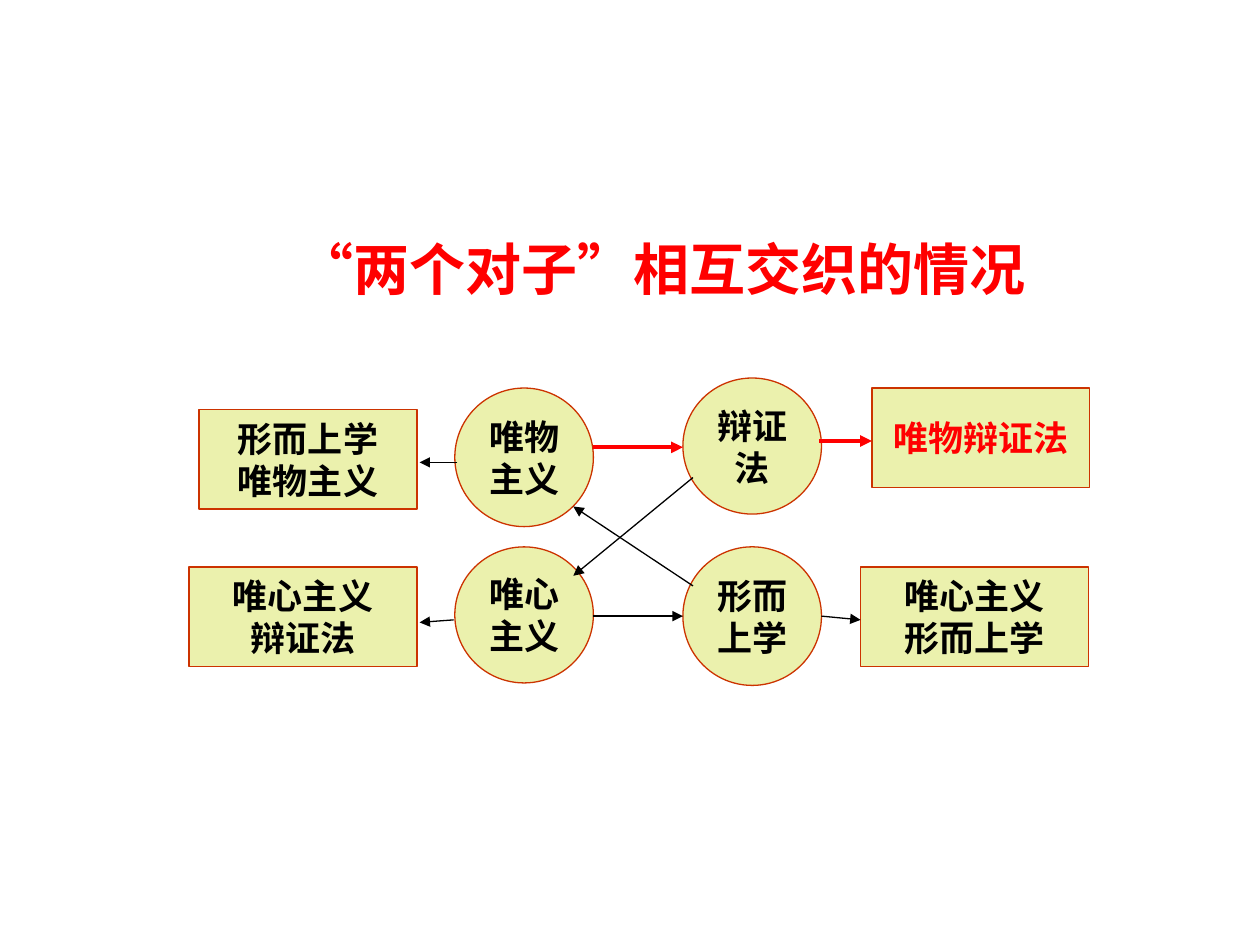
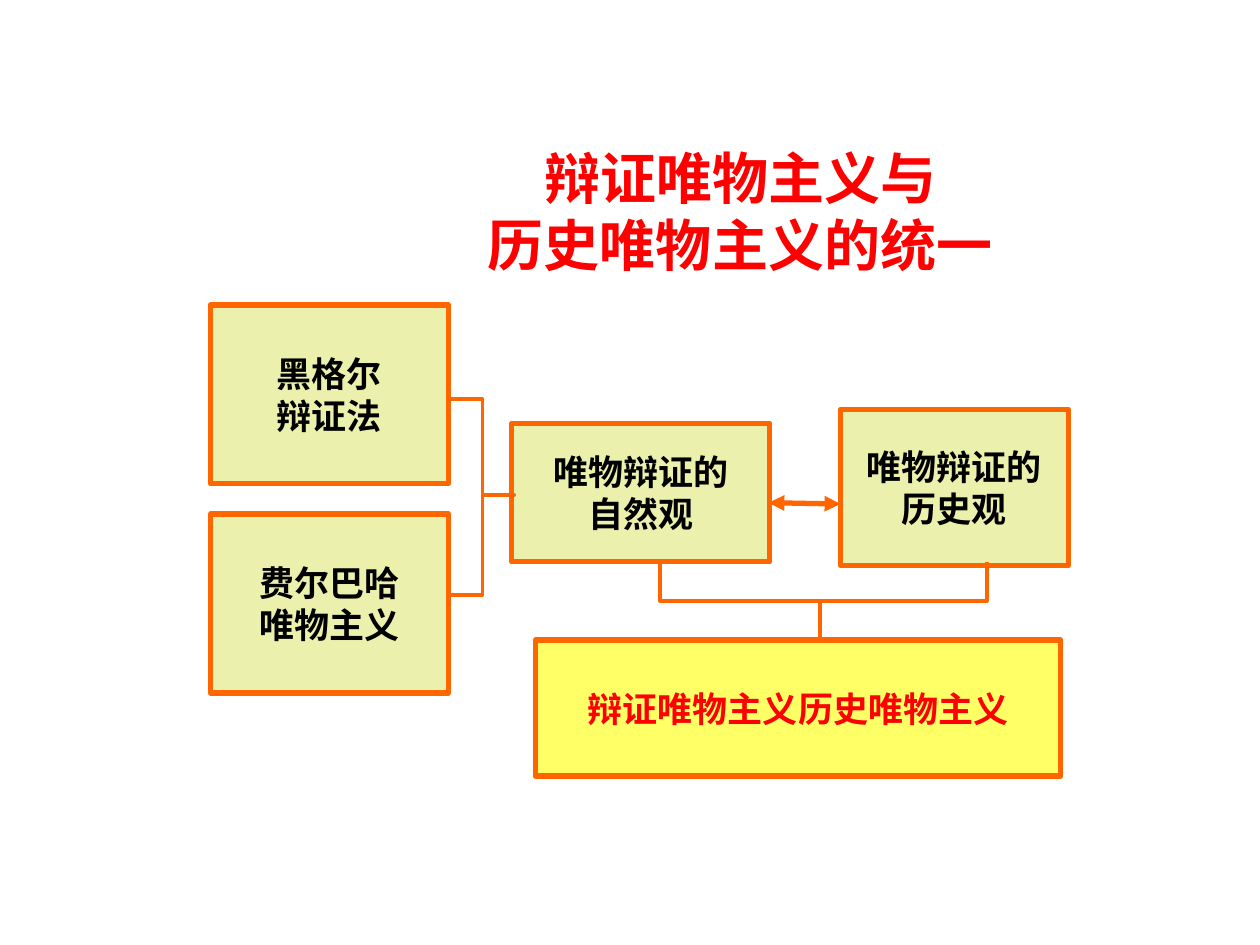
from dataclasses import dataclass

from lxml.etree import SubElement
from pptx import Presentation
from pptx.dml.color import RGBColor
from pptx.enum.lang import MSO_LANGUAGE_ID
from pptx.enum.shapes import MSO_CONNECTOR, MSO_SHAPE
from pptx.enum.text import MSO_ANCHOR, PP_ALIGN
from pptx.oxml.ns import qn
from pptx.util import Inches, Pt


@dataclass(frozen=True)
class Theme:
    """Colours, font and sizes shared by the slides."""

    font: str = "Arial"
    title_size: int = 32
    label_size: int = 20
    ink: str = "000000"
    accent: str = "FF0000"
    pale: str = "EBF1AD"
    yellow: str = "FFFF66"
    rust: str = "CC3300"
    orange: str = "FF6600"
    thin: float = 0.75
    medium: float = 2.25
    thick: float = 3


def write(frame, text, *, font, size, color, wrap):
    """Fill a text frame with centred bold lines, one paragraph each."""
    frame.word_wrap = wrap
    frame.vertical_anchor = MSO_ANCHOR.MIDDLE
    for index, line in enumerate(text.split("\n")):
        para = frame.add_paragraph() if index else frame.paragraphs[0]
        para.alignment = PP_ALIGN.CENTER
        span = para.add_run()
        span.text = line
        span.font.name = font
        span.font.size = Pt(size)
        span.font.bold = True
        span.font.color.rgb = RGBColor.from_string(color)
        span.font.language_id = MSO_LANGUAGE_ID.SIMPLIFIED_CHINESE


class Painter:
    """Draws styled elements on the current slide."""

    def __init__(self, deck, theme):
        """Keep the deck and its style."""
        self.deck = deck
        self.theme = theme
        self.page = None

    def new_page(self, title, place):
        """Start a blank slide with a red title."""
        self.page = self.deck.slides.add_slide(self.deck.slide_layouts[6])
        box = self.page.shapes.add_textbox(*map(Inches, place))
        write(box.text_frame, title, font=self.theme.font, size=self.theme.title_size,
              color=self.theme.accent, wrap=True)

    def stroke(self, item, color, width):
        """Set the outline of a shape or connector."""
        item.line.color.rgb = RGBColor.from_string(color)
        item.line.width = Pt(width)

    def node(self, kind, text, place, *, line, width, fill=None, color=None):
        """Add an outlined shape with a centred label."""
        shape = self.page.shapes.add_shape(kind, *map(Inches, place))
        shape.shadow.inherit = False
        shape.fill.solid()
        shape.fill.fore_color.rgb = RGBColor.from_string(fill or self.theme.pale)
        self.stroke(shape, line, width)
        write(shape.text_frame, text, font=self.theme.font, size=self.theme.label_size,
              color=color or self.theme.ink, wrap=False)

    def arrow(self, start, end, *, color, width, ends=("tailEnd",)):
        """Add a straight connector with triangle heads."""
        connector = self.page.shapes.add_connector(
            MSO_CONNECTOR.STRAIGHT, *map(Inches, start + end))
        self.stroke(connector, color, width)
        properties = connector.element.spPr
        for name in ends:
            SubElement(properties.find(qn("a:ln")), qn(f"a:{name}"), type="triangle")
        SubElement(properties, qn("a:effectLst"))

    def bracket(self, points):
        """Add an open orange outline through the points."""
        first, *rest = [tuple(map(Inches, point)) for point in points]
        builder = self.page.shapes.build_freeform(*first)
        builder.add_line_segments(rest, close=False)
        shape = builder.convert_to_shape()
        shape.shadow.inherit = False
        shape.fill.background()
        self.stroke(shape, self.theme.orange, self.theme.medium)


def draw_pairs(painter):
    """Draw how the two pairs of doctrines combine."""
    theme = painter.theme
    painter.new_page("“两个对子”相互交织的情况", (2.17, 1.67, 6.17, 0.92))
    outline = {"line": theme.rust, "width": theme.thin}
    doctrines = [
        ("唯物\n主义", 3.61, 3.08, 1.1),
        ("辩证\n法", 5.42, 3, 1.08),
        ("唯心\n主义", 3.61, 4.34, 1.08),
        ("形而\n上学", 5.42, 4.34, 1.1),
    ]
    for text, left, top, height in doctrines:
        painter.node(MSO_SHAPE.OVAL, text, (left, top, 1.1, height), **outline)
    combinations = [
        ("唯物辩证法", 6.92, 3.08, 1.73, theme.accent),
        ("唯心主义\n形而上学", 6.83, 4.5, 1.81, theme.ink),
        ("形而上学\n唯物主义", 1.58, 3.25, 1.73, theme.ink),
        ("唯心主义\n辩证法", 1.5, 4.5, 1.81, theme.ink),
    ]
    for text, left, top, width, color in combinations:
        painter.node(MSO_SHAPE.RECTANGLE, text, (left, top, width, 0.79),
                     color=color, **outline)
    main_route = [((4.71, 3.55), (5.42, 3.55)), ((6.5, 3.5), (6.92, 3.5))]
    for start, end in main_route:
        painter.arrow(start, end, color=theme.accent, width=theme.medium)
    other_routes = [
        ((6.52, 4.89), (6.83, 4.92)),
        ((4.71, 4.89), (5.42, 4.89)),
        ((5.5, 4.65), (4.55, 4.02)),
        ((5.5, 3.79), (4.55, 4.57)),
        ((3.63, 3.67), (3.33, 3.67)),
        ((3.6, 4.92), (3.33, 4.94)),
    ]
    for start, end in other_routes:
        painter.arrow(start, end, color=theme.ink, width=theme.thin)


def draw_unity(painter):
    """Draw the unity of dialectical and historical materialism."""
    theme = painter.theme
    painter.new_page("辩证唯物主义与\n历史唯物主义的统一", (3.25, 1.17, 5.25, 1))
    outline = {"line": theme.orange, "width": theme.thick}
    views = [
        ("黑格尔\n辩证法", (1.67, 2.42, 1.89, 1.42)),
        ("费尔巴哈\n唯物主义", (1.67, 4.08, 1.89, 1.42)),
        ("唯物辩证的\n自然观", (4.06, 3.36, 2.05, 1.1)),
        ("唯物辩证的\n历史观", (6.67, 3.25, 1.81, 1.24)),
    ]
    for text, place in views:
        painter.node(MSO_SHAPE.RECTANGLE, text, place, **outline)
    painter.node(MSO_SHAPE.RECTANGLE, "辩证唯物主义历史唯物主义", (4.25, 5.08, 4.17, 1.08),
                 fill=theme.yellow, color=theme.accent, **outline)
    painter.bracket([(3.58, 3.17), (3.83, 3.17), (3.83, 3.93), (4.08, 3.93),
                     (3.83, 3.93), (3.83, 4.72), (3.58, 4.72)])
    painter.bracket([(7.83, 4.46), (7.83, 4.77), (6.51, 4.77), (6.51, 5.08),
                     (6.51, 4.77), (5.24, 4.77), (5.24, 4.46)])
    painter.arrow((6.1, 3.99), (6.67, 4), color=theme.orange, width=theme.thick,
                  ends=("headEnd", "tailEnd"))


def main():
    """Build and save the deck."""
    deck = Presentation()
    deck.slide_width, deck.slide_height = Inches(10), Inches(7.5)
    painter = Painter(deck, Theme())
    draw_pairs(painter)
    draw_unity(painter)
    deck.save("out.pptx")


if __name__ == "__main__":
    main()
